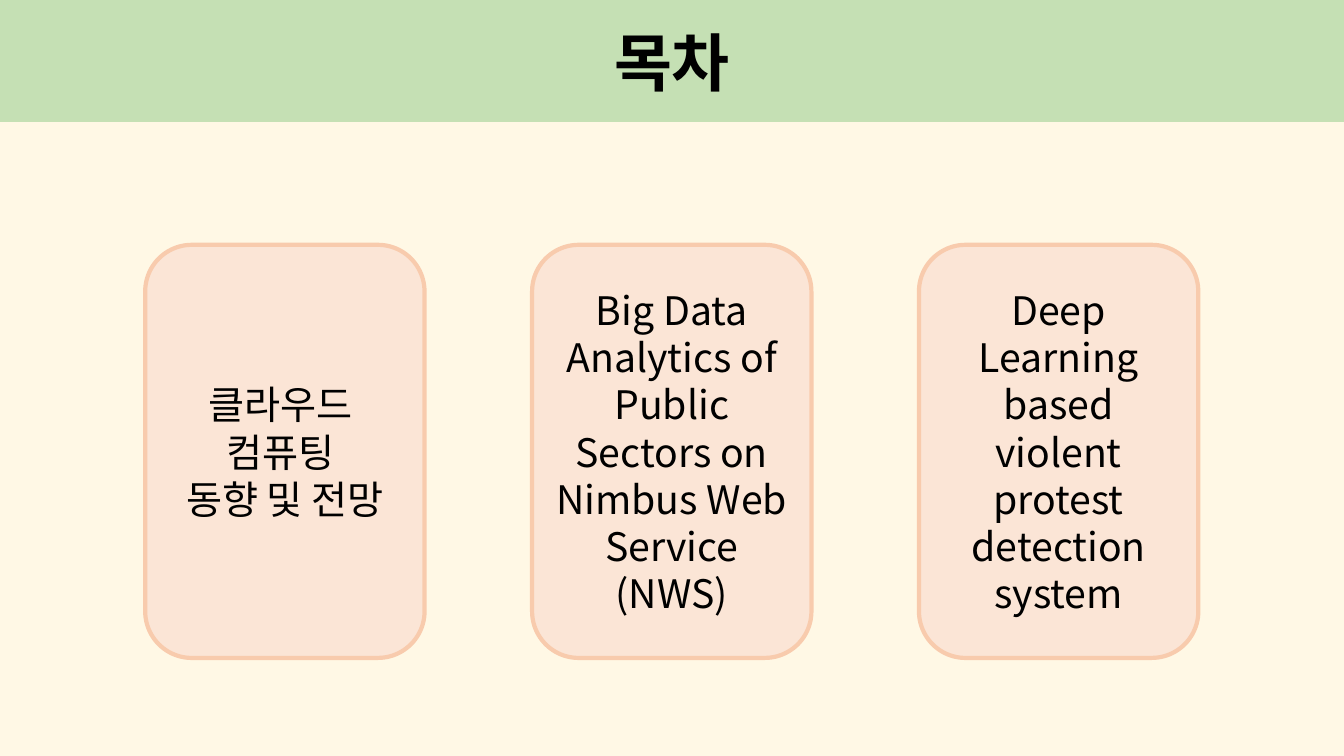
import pptx
import pptx.util
import pptx.dml.color
import pptx.enum.shapes
import pptx.enum.text

Cm = pptx.util.Cm
Pt = pptx.util.Pt
SHAPE = pptx.enum.shapes.MSO_SHAPE


def paint(color, value):
    color.rgb = pptx.dml.color.RGBColor.from_string(value)


def add_box(kind, left, top, width, height, fill, lines, size, bold=False):
    sp = s.shapes.add_shape(kind, Cm(left), Cm(top), Cm(width), Cm(height))
    sp.shadow.inherit = False
    sp.fill.solid()
    paint(sp.fill.fore_color, fill)
    sp.line.fill.background()
    tf = sp.text_frame
    tf.word_wrap = True
    tf.vertical_anchor = pptx.enum.text.MSO_ANCHOR.MIDDLE
    tf.text = "\n".join(lines)
    for p in tf.paragraphs:
        p.alignment = pptx.enum.text.PP_ALIGN.CENTER
        p.line_spacing = Pt(size * 1.2)
        p.font.name = "Noto Sans CJK KR"
        p.font.size = Pt(size)
        p.font.bold = bold
        paint(p.font.color, "000000")
    return sp


prs = pptx.Presentation()
prs.slide_width = Cm(33.87)
prs.slide_height = Cm(19.05)
s = prs.slides.add_slide(prs.slide_layouts[6])
s.background.fill.solid()
paint(s.background.fill.fore_color, "FFF8E5")

topics = [
    ["클라우드 ", "컴퓨팅 ", "동향 및 전망"],
    ["Big Data Analytics of Public Sectors on Nimbus Web Service (NWS)"],
    ["Deep Learning based violent protest detection system"],
]
for i, lines in enumerate(topics):
    sp = add_box(SHAPE.ROUNDED_RECTANGLE, 3.66 + i * 9.75, 6.17, 7.04, 10.41,
                 "FBE5D6", lines, 28)
    sp.line.fill.solid()
    paint(sp.line.fill.fore_color, "F8CBAD")
    sp.line.width = Pt(3)

add_box(SHAPE.RECTANGLE, 0, 0, 33.87, 3.07, "C5E0B4", ["목차"], 45, bold=True)

prs.save("out.pptx")
